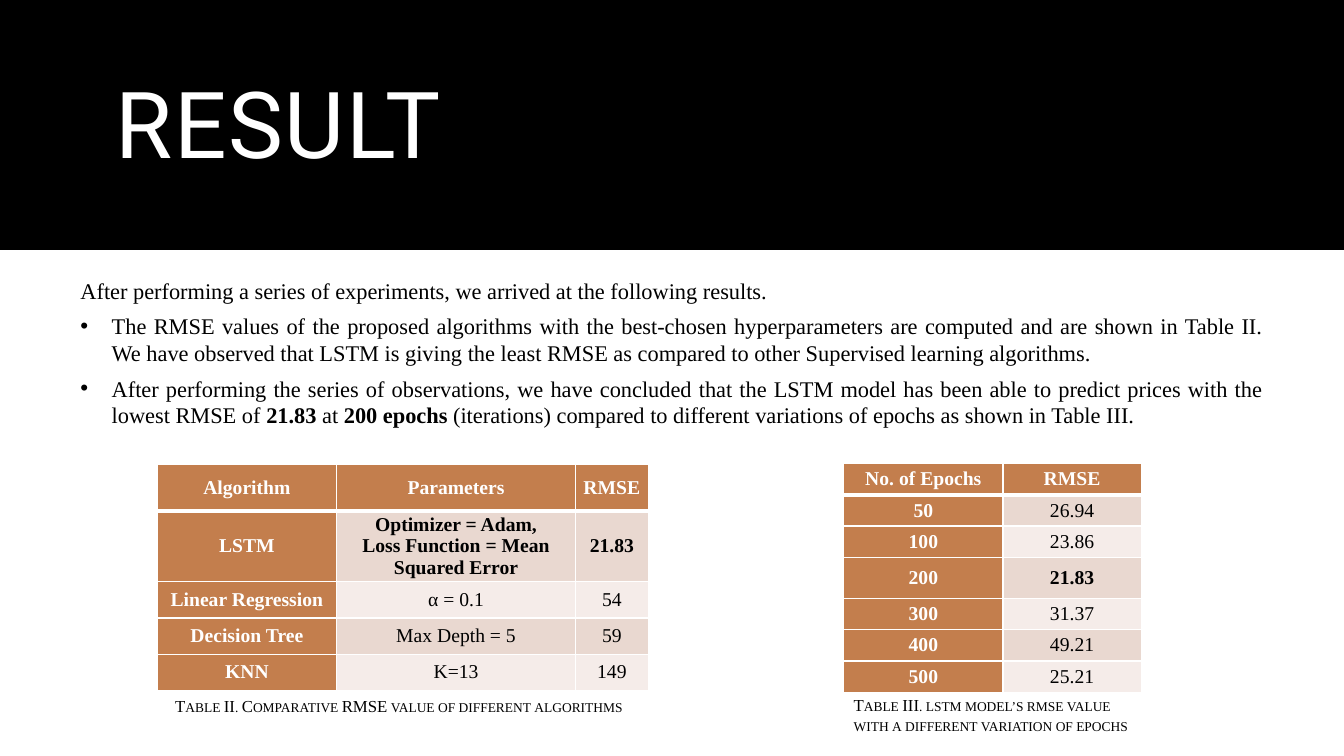
from dataclasses import dataclass

from lxml import etree
from pptx import Presentation
from pptx import util as u
from pptx.dml.color import RGBColor
from pptx.enum import shapes, text
from pptx.oxml import ns

WIDTH, HEIGHT = 13.33, 7.5
BLACK, WHITE = "000000", "FFFFFF"
ACCENT, BANDS = "C37E4D", ("E9D8D0", "F5ECE9")
SERIF = "Times New Roman"
ALIGN, ANCHOR = text.PP_ALIGN, text.MSO_ANCHOR
INDENT = 0.31


@dataclass
class Area:
    """Left, top, width and height as percentages of the slide."""
    left: float
    top: float
    width: float
    height: float

    def lengths(self) -> tuple:
        return across(self.left), down(self.top), across(self.width), down(self.height)


@dataclass
class ResultTable:
    left: float
    top: float
    columns: list[float]
    rows: list[float]
    values: list[list[str]]
    best_row: int
    best_key_bold: bool = True


TABLES = [
    ResultTable(11.7, 61.47, [13.35, 17.78, 5.4], [6.13, 9.33, 4.8, 4.8, 4.8], [
        ["Algorithm", "Parameters", "RMSE"],
        ["LSTM", "Optimizer = Adam,\nLoss Function = Mean Squared Error", "21.83"],
        ["Linear Regression", "α = 0.1", "54"],
        ["Decision Tree", "Max Depth = 5", "59"],
        ["KNN", "K=13", "149"],
    ], best_row=1),
    ResultTable(62.78, 61.33, [11.85, 10.28], [4.13] * 3 + [5.47] + [4.13] * 3, [
        ["No. of Epochs", "RMSE"],
        ["50", "26.94"],
        ["100", "23.86"],
        ["200", "21.83"],
        ["300", "31.37"],
        ["400", "49.21"],
        ["500", "25.21"],
    ], best_row=3),
]

FINDINGS = [
    "After performing a series of experiments, we arrived at the following results.",
    "The RMSE values of the proposed algorithms with the best-chosen hyperparameters are "
    "computed and are shown in Table II. We have observed that LSTM is giving the least RMSE "
    "as compared to other Supervised learning algorithms.",
    "After performing the series of observations, we have concluded that the LSTM model has "
    "been able to predict prices with the lowest RMSE of **21.83** at **200 epochs** "
    "(iterations) compared to different variations of epochs as shown in Table III.",
]

CAPTIONS = [
    (Area(12.3, 91.33, 35.33, 4), "Table II. Comparative RMSE value of different algorithms"),
    (Area(62.78, 91.2, 22.95, 6.67),
     "Table III. lstm model’s rmse value with a different variation of epochs"),
]


def across(percent: float) -> int:
    return u.Inches(WIDTH * percent / 100)


def down(percent: float) -> int:
    return u.Inches(HEIGHT * percent / 100)


def colour(value: str) -> RGBColor:
    return RGBColor.from_string(value)


def write(para, content: str, *, size: float, color: str = BLACK, font: str = SERIF,
          bold: bool = False, align=None, after: float = 0, bullet: bool = False,
          **attributes: str) -> None:
    if align is not None:
        para.alignment = align
    para.space_after = u.Pt(after)
    if bullet:
        properties = para._p.get_or_add_pPr()
        properties.set("marL", str(u.Inches(INDENT)))
        properties.set("indent", str(-u.Inches(INDENT)))
        etree.SubElement(properties, ns.qn("a:buFont")).set("typeface", "Arial")
        etree.SubElement(properties, ns.qn("a:buChar")).set("char", "•")
    for index, part in enumerate(content.split("**")):
        span = para.add_run()
        span.text = part
        span.font.size = u.Pt(size)
        span.font.name = font
        span.font.bold = bold or index % 2 == 1
        span.font.color.rgb = colour(color)
        for name, value in attributes.items():
            span._r.get_or_add_rPr().set(name, value)


def add_paragraphs(frame, lines: list[str], **style) -> None:
    for index, line in enumerate(lines):
        para = frame.add_paragraph() if index else frame.paragraphs[0]
        write(para, line, **style)


def add_box(page, area: Area, *, anchor=ANCHOR.TOP, grow: bool = True):
    frame = page.shapes.add_textbox(*area.lengths()).text_frame
    frame.word_wrap = True
    frame.vertical_anchor = anchor
    if grow:
        frame.auto_size = text.MSO_AUTO_SIZE.SHAPE_TO_FIT_TEXT
    return frame


def set_borders(cell, top: float, bottom: float) -> None:
    properties = cell._tc.get_or_add_tcPr()
    edges = {"lnL": 1, "lnR": 1, "lnT": top, "lnB": bottom}
    for index, (edge, points) in enumerate(edges.items()):
        line = etree.Element(ns.qn(f"a:{edge}"), w=str(u.Pt(points)))
        fill = etree.SubElement(line, ns.qn("a:solidFill"))
        etree.SubElement(fill, ns.qn("a:srgbClr")).set("val", WHITE)
        properties.insert(index, line)


def add_results(page, results: ResultTable) -> None:
    area = Area(results.left, results.top, sum(results.columns), sum(results.rows))
    table = page.shapes.add_table(
        len(results.rows), len(results.columns), *area.lengths()).table
    for column, width in zip(table.columns, results.columns):
        column.width = across(width)
    for r, (row, height) in enumerate(zip(table.rows, results.rows)):
        row.height = down(height)
        for c, cell in enumerate(row.cells):
            heading = r == 0 or c == 0
            cell.vertical_anchor = ANCHOR.MIDDLE
            cell.margin_left = cell.margin_right = u.Inches(0.07)
            cell.margin_top = cell.margin_bottom = 0
            cell.fill.solid()
            cell.fill.fore_color.rgb = colour(ACCENT if heading else BANDS[(r - 1) % 2])
            set_borders(cell, top=3 if r == 1 else 1, bottom=3 if r == 0 else 1)
            add_paragraphs(cell.text_frame, results.values[r][c].split("\n"), size=14,
                           color=WHITE if heading else BLACK, align=ALIGN.CENTER,
                           bold=heading or r == results.best_row)


def add_header(page) -> None:
    band = page.shapes.add_shape(
        shapes.MSO_SHAPE.RECTANGLE, *Area(0, 0, 100, 33.07).lengths())
    band.shadow.inherit = False
    band.fill.solid()
    band.fill.fore_color.rgb = colour(BLACK)
    band.line.fill.background()
    title = add_box(page, Area(7.88, 4.67, 84.23, 24.8), anchor=ANCHOR.MIDDLE, grow=False)
    write(title.paragraphs[0], "RESULT", size=66, color=WHITE, font="Roboto", spc="120")
    title.paragraphs[0].line_spacing = 0.9


def add_findings(page) -> None:
    frame = add_box(page, Area(5.25, 35.87, 89.48, 21.6), anchor=ANCHOR.MIDDLE)
    for index, finding in enumerate(FINDINGS):
        para = frame.add_paragraph() if index else frame.paragraphs[0]
        write(para, finding, size=16, align=ALIGN.JUSTIFY, after=6, bullet=index > 0)


def main() -> None:
    """Build the slide of RMSE results and save it."""
    deck = Presentation()
    deck.slide_width, deck.slide_height = across(100), down(100)
    page = deck.slides.add_slide(deck.slide_layouts[6])
    add_header(page)
    for results in TABLES:
        add_results(page, results)
    add_findings(page)
    for area, caption in CAPTIONS:
        write(add_box(page, area).paragraphs[0], caption, size=12, cap="small")
    deck.save("out.pptx")


if __name__ == "__main__":
    main()
